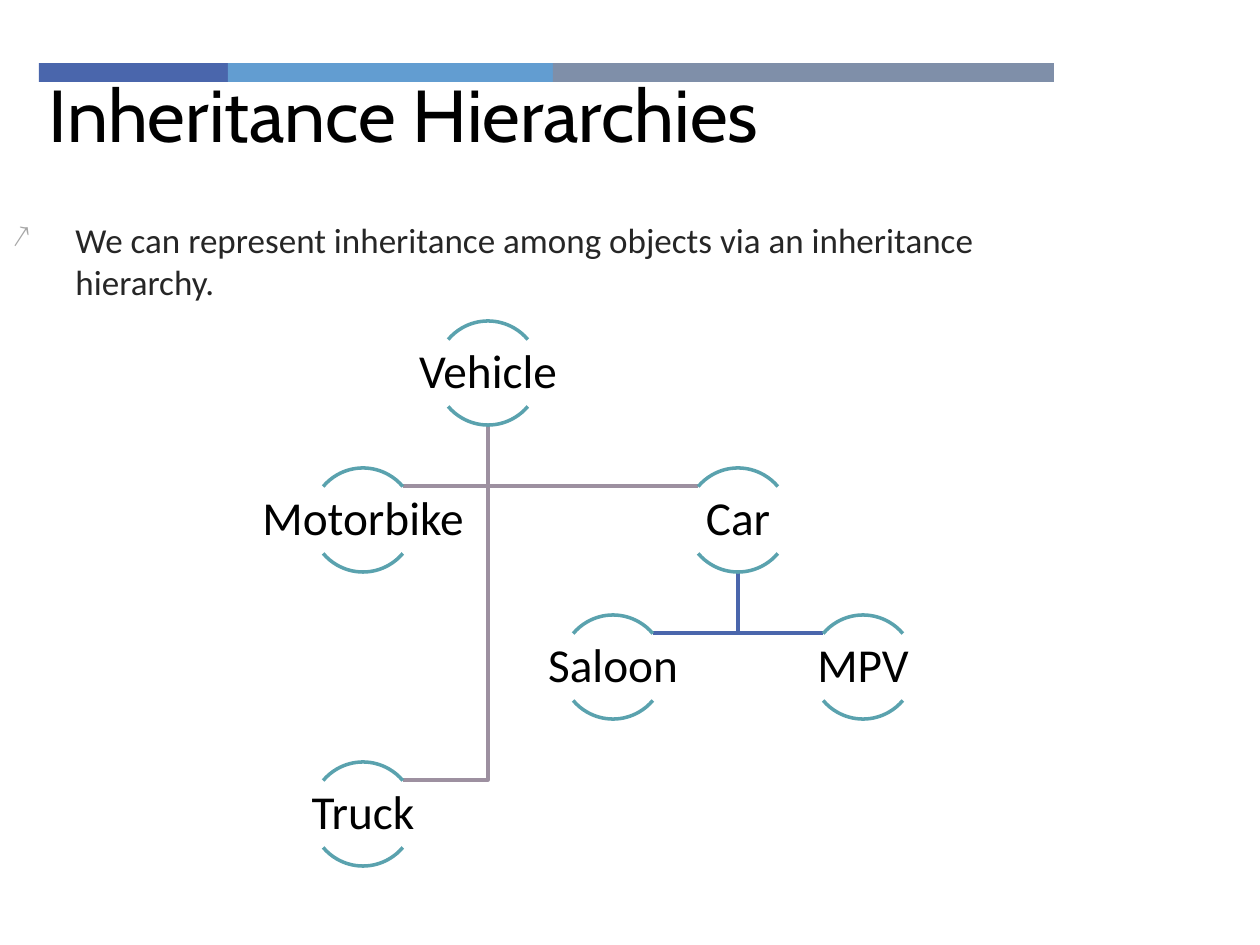
"""Build the Inheritance Hierarchies slide with a vehicle class tree."""
from lxml.etree import SubElement
from pptx import Presentation
from pptx.dml.color import RGBColor
from pptx.enum.shapes import MSO_SHAPE
from pptx.enum.text import MSO_ANCHOR, PP_ALIGN
from pptx.oxml.ns import qn
from pptx.util import Emu, Pt

SCALE = 914400 / 126
BLACK = RGBColor(0x00, 0x00, 0x00)
CHARCOAL = RGBColor(0x26, 0x26, 0x26)
BLUE = RGBColor(0x4A, 0x66, 0xAC)
SKY = RGBColor(0x62, 0x9D, 0xD1)
SLATE = RGBColor(0x7F, 0x8F, 0xA9)
TEAL = RGBColor(0x5A, 0xA2, 0xAE)
MAUVE = RGBColor(0x9D, 0x90, 0xA0)


def px(*lengths):
    return [Emu(round(length * SCALE)) for length in lengths]


def add_text(box, text, font_format):
    text_box = slide.shapes.add_textbox(*px(*box))
    text_box.text_frame.word_wrap = True
    paragraph = text_box.text_frame.paragraphs[0]
    run = paragraph.add_run()
    run.text = text
    for name, value in font_format.items():
        setattr(run.font, name, value)
    run.font.color.rgb = CHARCOAL if font_format is BODY_FONT else BLACK
    return text_box.text_frame, paragraph


TITLE_FONT = {"name": "Cabin", "size": Pt(42)}
BODY_FONT = {"name": "Calibri", "size": Pt(20)}
NODE_FONT = {"name": "Calibri", "size": Pt(27)}

presentation = Presentation()
presentation.slide_width, presentation.slide_height = px(1260, 945)
slide = presentation.slides.add_slide(presentation.slide_layouts[6])

left = 39
for width, color in ((189, BLUE), (325, SKY), (501, SLATE)):
    bar = slide.shapes.add_shape(MSO_SHAPE.RECTANGLE, *px(left, 63, width, 19))
    bar.shadow.inherit = False
    bar.fill.solid()
    bar.fill.fore_color.rgb = color
    bar.line.fill.background()
    left += width

add_text((20, 63, 1062, 125), " Inheritance Hierarchies", TITLE_FONT)

frame, paragraph = add_text(
    (0, 212, 1062, 179),
    "We can represent inheritance among objects via an inheritance hierarchy.",
    BODY_FONT,
)
paragraph.space_before = Pt(20)
properties = paragraph._p.get_or_add_pPr()
indent = px(63)[0]
properties.set("marL", str(indent))
properties.set("indent", str(-indent))
bullet_color = SubElement(properties, qn("a:buClr"))
SubElement(bullet_color, qn("a:srgbClr"), val="A6A6A6")
SubElement(properties, qn("a:buSzPct"), val="90000")
SubElement(properties, qn("a:buChar"), char="↗")

ROOT_X, ROOT_Y, COLUMN, ROW = 488, 373, 125, 147
RADIUS, ARC_END_X, ARC_END_Y = 52, 40, 34
GRID = {
    "Vehicle": (0, 0),
    "Motorbike": (-1, 1),
    "Car": (2, 1),
    "Saloon": (1, 2),
    "MPV": (3, 2),
    "Truck": (-1, 3),
}
LINKS = (
    ("Vehicle", "Truck", MAUVE),
    ("Car", "MPV", BLUE),
    ("Car", "Saloon", BLUE),
    ("Vehicle", "Car", MAUVE),
    ("Vehicle", "Motorbike", MAUVE),
)
centers = {
    name: (ROOT_X + column * COLUMN, ROOT_Y + row * ROW)
    for name, (column, row) in GRID.items()
}

for parent, child, color in LINKS:
    parent_x, parent_y = centers[parent]
    child_x, child_y = centers[child]
    end_x = child_x + (ARC_END_X if child_x < parent_x else -ARC_END_X)
    end_y = child_y - ARC_END_Y
    builder = slide.shapes.build_freeform(parent_x, parent_y + RADIUS, scale=SCALE)
    builder.add_line_segments([(parent_x, end_y), (end_x, end_y)], close=False)
    link = builder.convert_to_shape()
    link.shadow.inherit = False
    link.fill.background()
    link.line.color.rgb = color
    link.line.width = Pt(2)

for name, (x, y) in centers.items():
    for start, end in ((132, 192), (24, 84)):
        arc = slide.shapes.add_shape(
            MSO_SHAPE.ARC, *px(x - RADIUS, y - RADIUS, 2 * RADIUS, 2 * RADIUS)
        )
        arc.adjustments[0], arc.adjustments[1] = start, end
        arc.shadow.inherit = False
        arc.fill.background()
        arc.line.color.rgb = TEAL
        arc.line.width = Pt(2)
    frame, paragraph = add_text((x - 103, y - 33, 206, 66), name, NODE_FONT)
    frame.word_wrap = False
    frame.vertical_anchor = MSO_ANCHOR.MIDDLE
    for side in ("left", "right", "top", "bottom"):
        setattr(frame, f"margin_{side}", px(2)[0])
    paragraph.alignment = PP_ALIGN.CENTER
    paragraph.line_spacing = 0.9

presentation.save("out.pptx")
